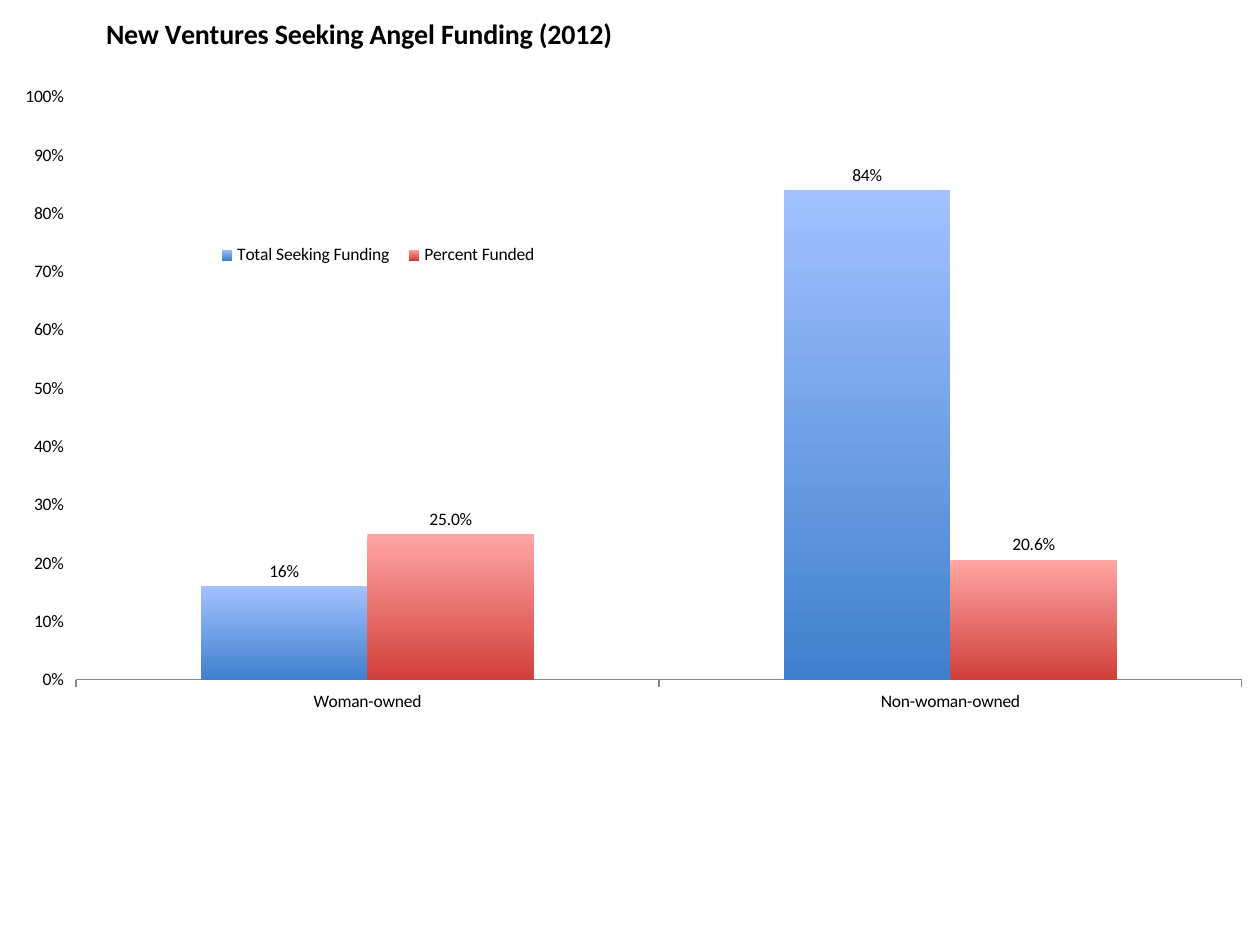
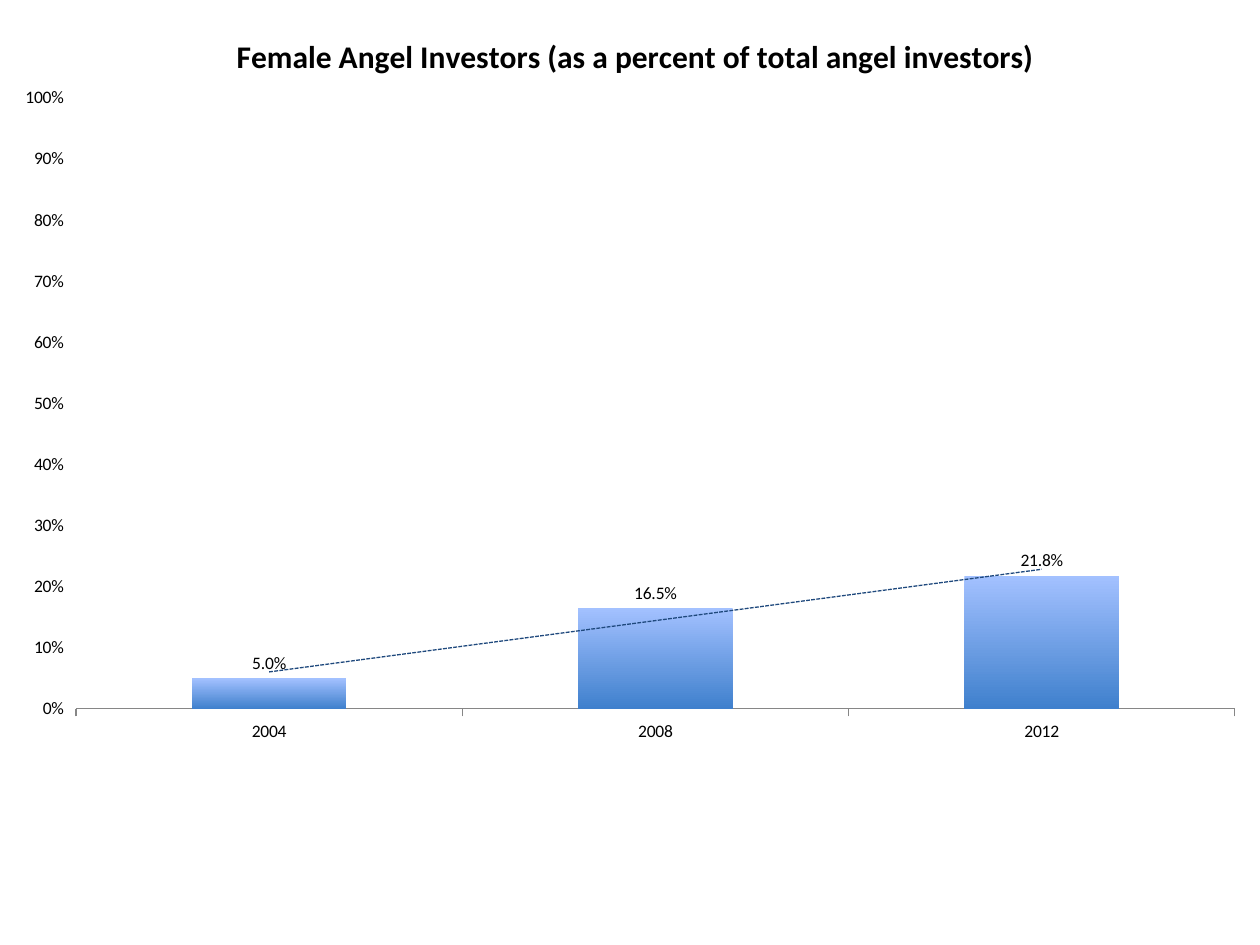
import pptx
import pptx.chart.data
import pptx.dml.color
import pptx.enum.chart
import pptx.enum.dml
import pptx.oxml
import pptx.oxml.ns
import pptx.util

EMU_PER_PIXEL = 914400 / 126
BLUE = ("A3C1FF", "3F80CD")
RED = ("FFA6A4", "D13F3B")


def px(pixels):
    return pptx.util.Emu(round(pixels * EMU_PER_PIXEL))


def color(value):
    return pptx.dml.color.RGBColor.from_string(value)


def qn(tag):
    return pptx.oxml.ns.qn(tag)


def chart_xml(tag, body):
    return pptx.oxml.parse_xml(
        f"<c:{tag} {pptx.oxml.ns.nsdecls('c', 'a')}>{body}</c:{tag}>")


def write(frame, text, *, size, font, ink, bold=False):
    frame.text = text
    style = frame.paragraphs[0].runs[0].font
    style.size = pptx.util.Pt(size)
    style.name = font
    style.bold = bold
    style.color.rgb = color(ink)


class ChartDeck:
    font = "Calibri"
    ink = "000000"
    axis_line = "868686"
    trend_line = "1F497D"
    text_size = 10

    def __init__(self, width, height):
        self.presentation = pptx.Presentation()
        self.presentation.slide_width = px(width)
        self.presentation.slide_height = px(height)
        self.slide = None

    def add_slide(self):
        blank = self.presentation.slide_layouts[6]
        self.slide = self.presentation.slides.add_slide(blank)

    def place(self, part, chart_size, left, top, width=None, height=None, inner=False):
        width_total, height_total = chart_size
        fractions = {"x": left / width_total, "y": top / height_total}
        if width:
            fractions.update(w=width / width_total, h=height / height_total)
        body = '<c:layoutTarget val="inner"/>' if inner else ""
        body += '<c:xMode val="edge"/><c:yMode val="edge"/>'
        body += "".join(f'<c:{key} val="{value:.4f}"/>' for key, value in fractions.items())
        layout = chart_xml("layout", f"<c:manualLayout>{body}</c:manualLayout>")
        for previous in part.findall(qn("c:layout")):
            part.remove(previous)
        overlay = part.find(qn("c:overlay"))
        if overlay is None:
            part.insert(0, layout)
        else:
            overlay.addprevious(layout)

    def columns(self, size, categories, series, plot_box):
        data = pptx.chart.data.CategoryChartData()
        data.categories = categories
        for name, values, _, _ in series:
            data.add_series(name, values)
        chart = self.slide.shapes.add_chart(
            pptx.enum.chart.XL_CHART_TYPE.COLUMN_CLUSTERED,
            0, 0, px(size[0]), px(size[1]), data).chart
        chart.has_legend = False
        chart.font.size = pptx.util.Pt(self.text_size)
        chart.font.name = self.font
        chart.font.color.rgb = color(self.ink)

        plot = chart.plots[0]
        plot.gap_width = 150
        plot.overlap = 0
        plot.vary_by_categories = False
        for columns, (_, _, shades, number_format) in zip(plot.series, series):
            self.shade(columns, shades)
            labels = columns.data_labels
            labels.show_value = True
            labels.number_format = number_format
            labels.number_format_is_linked = False
            labels.position = pptx.enum.chart.XL_LABEL_POSITION.OUTSIDE_END
        self.axes(chart)
        plot_area = chart.plots[0]._element.getparent()
        self.place(plot_area, size, *plot_box, inner=True)
        return chart

    def shade(self, columns, shades):
        columns.invert_if_negative = False
        fill = columns.format.fill
        fill.gradient()
        fill.gradient_angle = 270
        for stop, shade in zip(fill.gradient_stops, shades):
            stop.color.rgb = color(shade)
        columns.format.line.fill.background()

    def axes(self, chart):
        outside = pptx.enum.chart.XL_TICK_MARK.OUTSIDE
        for axis in (chart.category_axis, chart.value_axis):
            axis.has_major_gridlines = False
            axis.major_tick_mark = outside
            axis.minor_tick_mark = pptx.enum.chart.XL_TICK_MARK.NONE
        chart.category_axis.format.line.color.rgb = color(self.axis_line)
        chart.category_axis.format.line.width = pptx.util.Pt(0.75)
        percent = chart.value_axis
        percent.format.line.fill.background()
        percent.minimum_scale = 0
        percent.maximum_scale = 1
        percent.major_unit = 0.1
        percent.tick_labels.number_format = "0%"
        percent.tick_labels.number_format_is_linked = False

    def title(self, chart, text, size, chart_size, left, top):
        chart.has_title = True
        title = chart.chart_title
        write(title.text_frame, text, size=size, font=self.font, ink=self.ink, bold=True)
        self.place(title._element, chart_size, left, top)

    def legend(self, chart, chart_size, box):
        chart.has_legend = True
        legend = chart.legend
        legend.position = pptx.enum.chart.XL_LEGEND_POSITION.LEFT
        legend.include_in_layout = True
        self.place(legend._element, chart_size, *box)

    def trend(self, columns):
        line = (f'<a:ln w="9525"><a:solidFill><a:srgbClr val="{self.trend_line}"/>'
                '</a:solidFill><a:prstDash val="sysDash"/></a:ln>')
        trendline = chart_xml(
            "trendline",
            f'<c:spPr>{line}</c:spPr><c:trendlineType val="linear"/>'
            '<c:dispRSqr val="0"/><c:dispEq val="0"/>')
        columns._element.find(qn("c:cat")).addprevious(trendline)


deck = ChartDeck(1260, 945)

deck.add_slide()
ventures_size = (1268, 726)
ventures = deck.columns(
    ventures_size,
    ["Woman-owned", "Non-woman-owned"],
    [("Total Seeking Funding", (0.16, 0.84), BLUE, "0%"),
     ("Percent Funded", (0.25, 0.206), RED, "0.0%")],
    (76, 97, 1166, 583))
deck.title(ventures, "New Ventures Seeking Angel Funding (2012)", 16, ventures_size, 101, 10)
deck.legend(ventures, ventures_size, (208, 240, 340, 30))

deck.add_slide()
investors_size = (1260, 756)
investors = deck.columns(
    investors_size,
    ["2004", "2008", "2012"],
    [("Series 1", (0.05, 0.165, 0.218), BLUE, "0.0%")],
    (76, 98, 1159, 611))
deck.title(investors, "Female Angel Investors (as a percent of total angel investors)",
           18, investors_size, 231, 29)
deck.trend(investors.plots[0].series[0])

deck.presentation.save("out.pptx")
